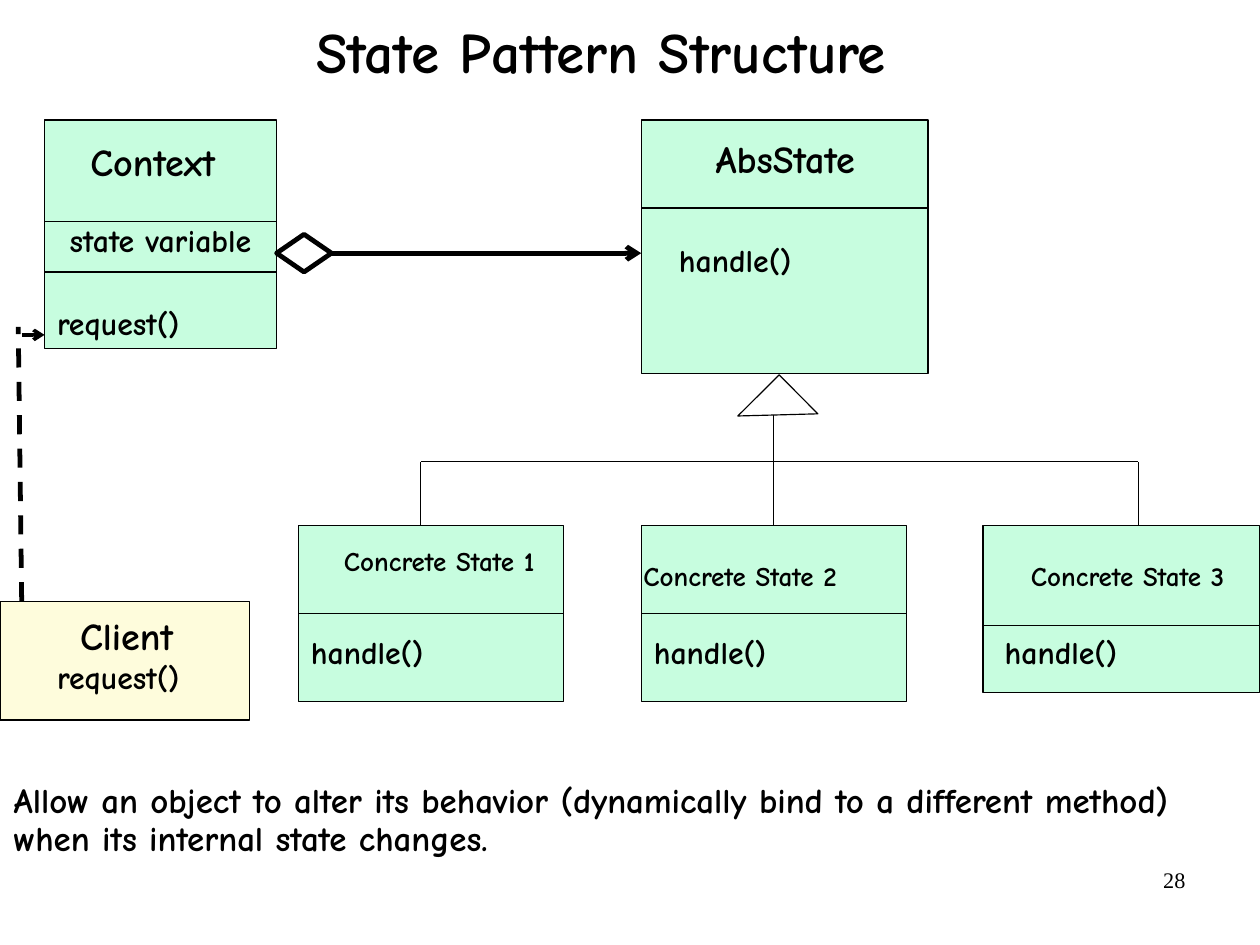
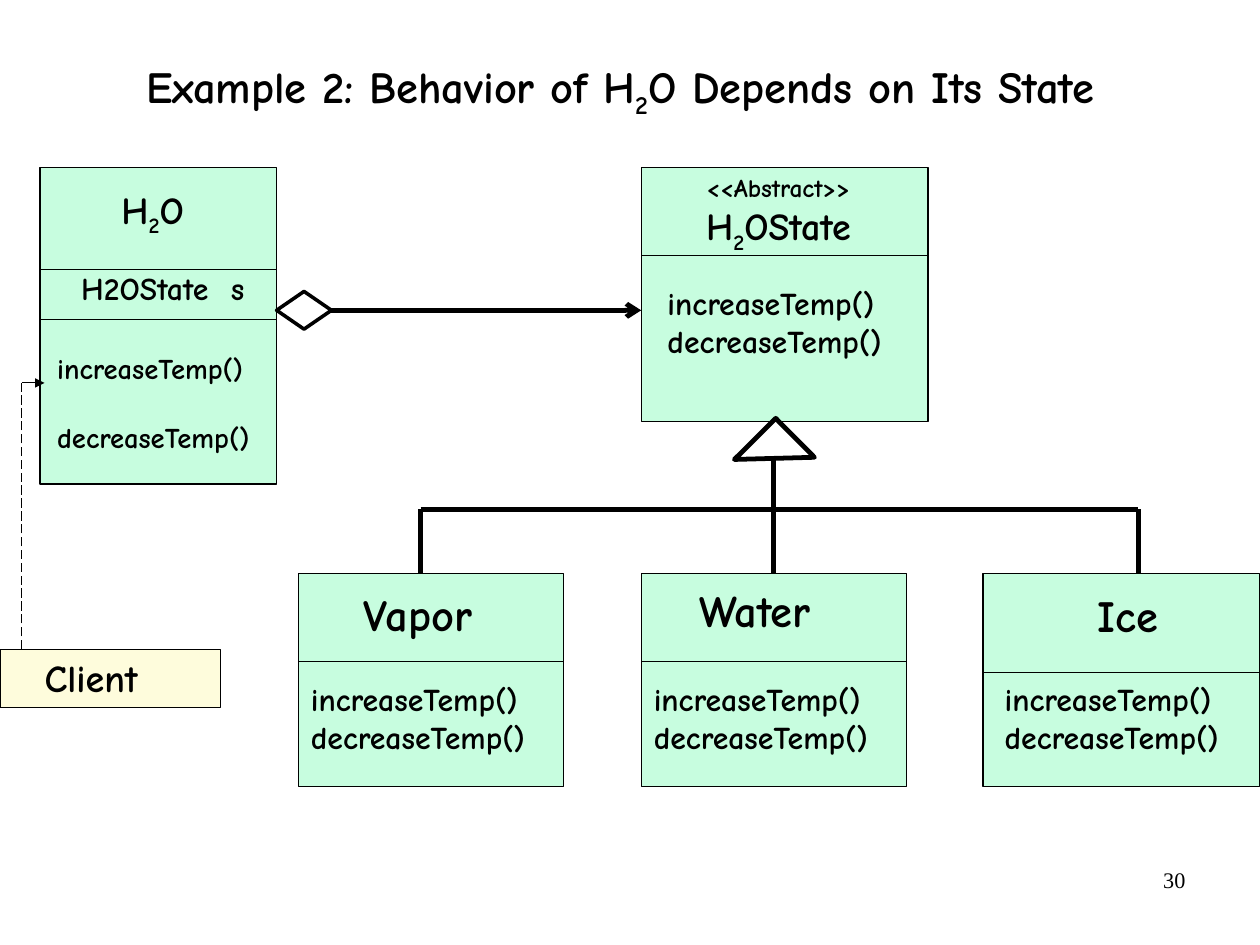
from lxml import etree
from pptx import Presentation
from pptx import util as u
from pptx.dml.color import RGBColor
from pptx.enum import dml, shapes, text as t
from pptx.oxml.ns import qn

CELL = u.Inches(0.1)
FONT = "Comic Neue"
INK, MINT, CREAM, PAPER = "000000", "C7FDDF", "FEFCDC", "FFFFFF"
HAIRLINE = 0.75
CONTEXT_RIGHT = 24.2
ABSTRACT_LEFT, ABSTRACT_RIGHT = 56.1, 81.2
CHILD_TOP = 46
CHILDREN = (
    {"left": 26.1, "width": 23.2, "divider": 7.7, "methods": 26.1},
    {"left": 56.1, "width": 23.2, "divider": 7.7, "methods": 56.1},
    {"left": 86, "width": 24.2, "divider": 8.7, "methods": 86.8},
)


def cells(*counts):
    return [round(count * CELL) for count in counts]


def color(hex_value):
    return RGBColor.from_string(hex_value)


def write(slide, lines, left, top, width, height=5, size=20, font=FONT, bold=True,
          align=t.PP_ALIGN.LEFT, anchor=t.MSO_ANCHOR.TOP, inset=(1.1, 0.55),
          spacing=None, gap=0, indents=(), tab=None):
    frame = slide.shapes.add_textbox(*cells(left, top, width, height)).text_frame
    frame.word_wrap = True
    frame.vertical_anchor = anchor
    frame.margin_left, frame.margin_top = cells(*inset)
    frame.margin_right, frame.margin_bottom = cells(*inset)
    for index, line in enumerate(lines):
        content, points = line if isinstance(line, tuple) else (line, size)
        paragraph = frame.add_paragraph() if index else frame.paragraphs[0]
        properties = paragraph._p.get_or_add_pPr()
        if indents:
            properties.set("marL", str(cells(indents[index])[0]))
        if tab:
            stops = etree.SubElement(properties, qn("a:tabLst"))
            etree.SubElement(stops, qn("a:tab"), pos=str(cells(tab)[0]), algn="l")
        paragraph.alignment = align
        if spacing:
            paragraph.line_spacing = spacing
        if index and gap:
            paragraph.space_before = u.Pt(gap)
        for part, piece in enumerate(content.split("~")):
            run = paragraph.add_run()
            run.text = piece
            run.font.name, run.font.size, run.font.bold = font, u.Pt(points), bold
            run.font.color.rgb = color(INK)
            if part % 2:
                run._r.get_or_add_rPr().set("baseline", "-25000")


def outline(slide, kind, left, top, width, height, fill=None, weight=HAIRLINE):
    figure = slide.shapes.add_shape(kind, *cells(left, top, width, height))
    figure.shadow.inherit = False
    if fill:
        figure.fill.solid()
        figure.fill.fore_color.rgb = color(fill)
    else:
        figure.fill.background()
    figure.line.color.rgb = color(INK)
    figure.line.width = u.Pt(weight)
    return figure


def rule(slide, x1, y1, x2, y2, weight=HAIRLINE, dash=None, arrow=None):
    line = slide.shapes.add_connector(
        shapes.MSO_CONNECTOR.STRAIGHT, *cells(x1, y1, x2, y2))
    line.line.color.rgb = color(INK)
    line.line.width = u.Pt(weight)
    if dash:
        line.line.dash_style = dash
    if arrow:
        etree.SubElement(line.line._get_or_add_ln(), qn("a:tailEnd"), type=arrow)
    etree.SubElement(line._element.spPr, qn("a:effectLst"))
    return line


def class_box(slide, left, top, width, height, dividers, fill=MINT):
    box = outline(slide, shapes.MSO_SHAPE.RECTANGLE, left, top, width, height, fill)
    for offset in dividers:
        rule(slide, left, top + offset, left + width, top + offset)
    return box


def start_slide(deck, title, number, left, top, width, size):
    slide = deck.slides.add_slide(deck.slide_layouts[6])
    write(slide, [title], left, top, width, 13.7, size=size, inset=(0, 0),
          align=t.PP_ALIGN.CENTER, anchor=t.MSO_ANCHOR.BOTTOM, spacing=0.88)
    write(slide, [number], 79, 75.3, 25.7, 5.7, size=14, font="Times New Roman",
          bold=False, align=t.PP_ALIGN.RIGHT, inset=(1, 0.5))
    return slide


def draw_context(slide, drop, name, variable, methods, left, height, size, gap=0):
    class_box(slide, left, 10.5 + drop, CONTEXT_RIGHT - left, height, (8.9, 13.3))
    write(slide, [name], 1.9, 11.6 + drop, 22.9, size=24, align=t.PP_ALIGN.CENTER)
    content, start, tab = variable
    write(slide, [content], start, 18.8 + drop, CONTEXT_RIGHT - start, tab=tab)
    write(slide, methods, 3.9, 26 + drop, CONTEXT_RIGHT - 3.9, size=size, gap=gap)


def draw_abstract(slide, drop, name, name_at, methods, methods_at):
    class_box(slide, ABSTRACT_LEFT, 10.5 + drop, ABSTRACT_RIGHT - ABSTRACT_LEFT,
              22.2, (7.7,))
    write(slide, name, *name_at, 16, size=24, align=t.PP_ALIGN.CENTER)
    write(slide, methods, *methods_at, ABSTRACT_RIGHT - methods_at[0])


def draw_association(slide, axis, weight):
    diamond = outline(slide, shapes.MSO_SHAPE.DIAMOND, CONTEXT_RIGHT, axis - 1.65,
                      4.8, 3.3, PAPER, weight)
    link = rule(slide, 29, axis, ABSTRACT_LEFT, axis, 3, arrow="arrow")
    link.begin_connect(diamond, 3)


def draw_children(slide, drop, names, heights, methods, size):
    top = CHILD_TOP + drop
    boxes = []
    for child, (name, name_left, name_top), height in zip(CHILDREN, names, heights):
        right = child["left"] + child["width"]
        boxes.append(class_box(slide, child["left"], top, child["width"], height,
                               (child["divider"],)))
        write(slide, [name], name_left, name_top, right - name_left, size=size)
        write(slide, methods, child["methods"], top + 8.8, right - child["methods"])
    return boxes


def draw_inheritance(slide, drop, children, triangle_at, weight):
    bar, top = 40.4 + drop, CHILD_TOP + drop
    rule(slide, 36.8, bar, 99.6, bar, weight)
    for x in (36.8, 99.6):
        rule(slide, x, top, x, bar, weight)
    triangle = outline(slide, shapes.MSO_SHAPE.RIGHT_TRIANGLE, *triangle_at, 5.1, 4.8,
                       weight=weight)
    triangle.rotation = 135.2
    stem = rule(slide, 67.7, triangle_at[1] + 2.4, 67.7, top, weight)
    stem.end_connect(children[1], 0)


def draw_client(slide, lines, indents, top, width, height, text_top, call_end,
                call_row, dash, weights, head):
    class_box(slide, 0, top, width, height, (), CREAM)
    write(slide, lines, 0, text_top, width, size=24, indents=indents)
    rule(slide, 1.9, top, *call_end, weights[0], dash=dash)
    rule(slide, 1.9, call_row, 3.9, call_row, weights[1], arrow=head)


def structure_slide(deck):
    slide = start_slide(deck, "State Pattern Structure", "28", 5.6, -6.2, 94, 36)
    draw_client(slide, ["Client", ("request()", 20)], (5.9, 3.9), 52.6, 21.8, 10.4, 53,
                (1.6, 28.6), 29.3, dml.MSO_LINE.DASH, (3, 2.25), "arrow")
    draw_context(slide, 0, "Context", ("state variable", 5, None), ["request()"],
                 3.9, 20, 20)
    draw_abstract(slide, 0, ["AbsState"], (60.7, 11.3), ["handle()"], (58.3, 20.5))
    draw_association(slide, 22.15, 3)
    names = (("Concrete State 1", 29, 47.1), ("Concrete State 2", 55.2, 48.4),
             ("Concrete State 3", 89.1, 48.4))
    children = draw_children(slide, 0, names, (15.4, 15.4, 14.6), ["handle()"], 17)
    draw_inheritance(slide, 0, children, (65.5, 33.9), HAIRLINE)
    write(slide, ["Allow an object to alter its behavior (dynamically bind to a "
                  "different method) when its internal state changes."],
          0.1, 68, 109.9, 7.7, size=22, spacing=0.9)


def water_slide(deck):
    drop = 4.15
    methods = ["increaseTemp()", "decreaseTemp()"]
    slide = start_slide(deck, "Example 2: Behavior of H~2~O Depends on Its State", "30",
                        0, -3.7, 108.5, 28)
    draw_context(slide, drop, "H~2~O", ("H2OState\ts", 6, 13.1), methods,
                 3.5, 27.7, 18, gap=21.6)
    draw_abstract(slide, drop, [("<<Abstract>>", 16), "H~2~OState"], (60.1, 14.5),
                  methods, (57.3, 24.3))
    draw_association(slide, 27.15, 2.25)
    names = (("Vapor", 30.7, 50.8), ("Water", 60.1, 50.5), ("Ice", 94.9, 50.9))
    children = draw_children(slide, drop, names, (18.7,) * 3, methods, 28)
    draw_inheritance(slide, drop, children, (65.2, 37.7), 3)
    draw_client(slide, ["Client"], (2.8,), 56.8, 19.3, 5.1, 56.7, (1.9, 33.5), 33.5,
                dml.MSO_LINE.LONG_DASH, (HAIRLINE, HAIRLINE), "triangle")


def main():
    deck = Presentation()
    deck.slide_width = u.Cm(28)
    deck.slide_height = u.Cm(21)
    structure_slide(deck)
    water_slide(deck)
    deck.save("out.pptx")


if __name__ == "__main__":
    main()
